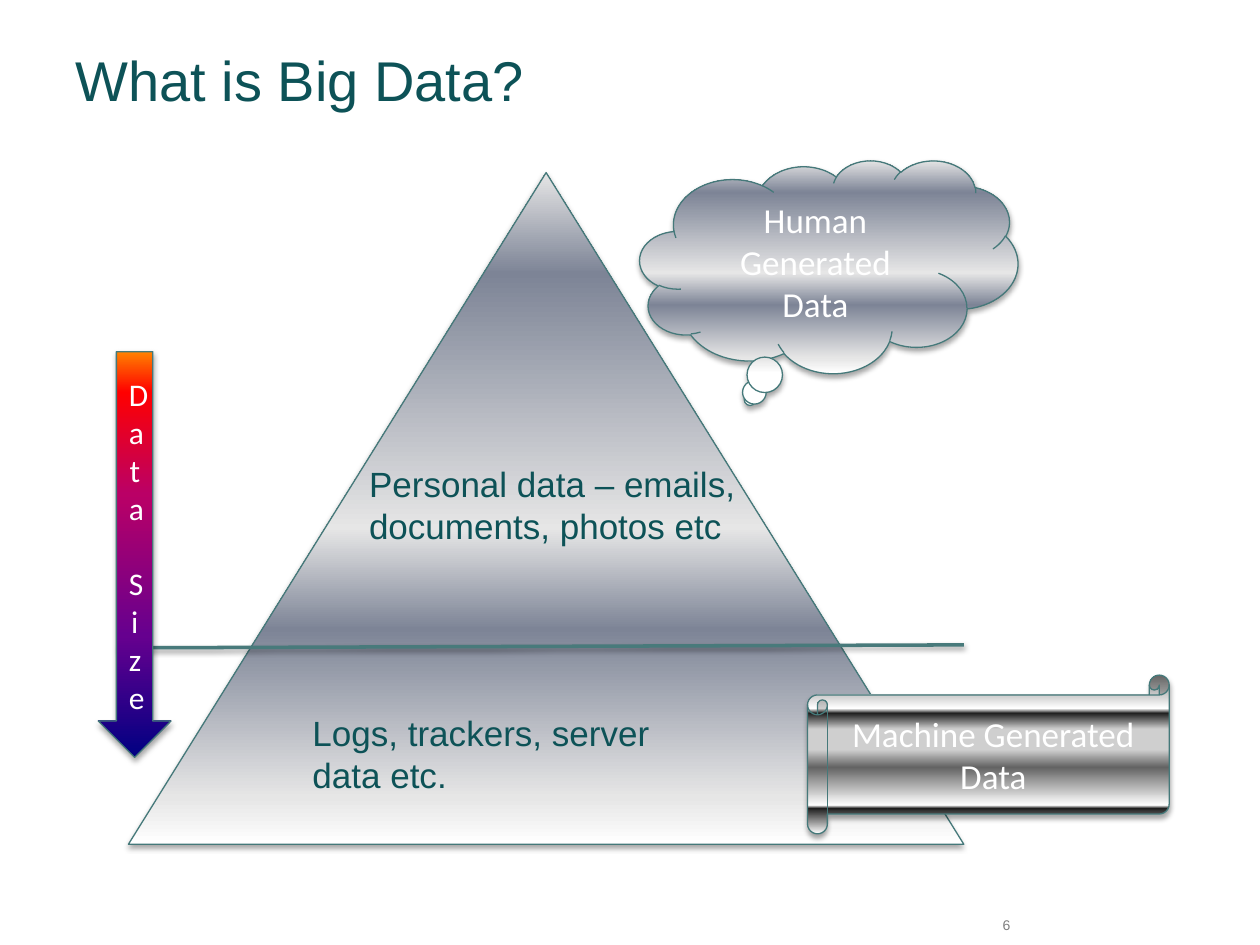
from dataclasses import dataclass

from lxml.etree import SubElement
from pptx import Presentation
from pptx.dml.color import RGBColor
from pptx.enum.shapes import MSO_CONNECTOR, MSO_SHAPE
from pptx.enum.text import MSO_ANCHOR, MSO_AUTO_SIZE, PP_ALIGN
from pptx.oxml.ns import qn
from pptx.util import Cm, Pt


@dataclass(frozen=True)
class Theme:
    ink: str = "0D5257"
    white: str = "FFFFFF"
    gray: str = "808080"
    outline: str = "45797A"
    divider: str = "487A7B"
    body_font: str = "Arial"
    shape_font: str = "Calibri"
    title_size: int = 32
    text_size: int = 20
    arrow_size: int = 18
    number_size: int = 8
    # Gradients run from bottom to top: (percent, colour)
    silver: tuple = ((0, "FFFFFF"), (7, "E6E6E6"), (32, "7D8496"),
                     (47, "E6E6E6"), (85, "7D8496"), (100, "E6E6E6"))
    chrome: tuple = ((0, "FFFFFF"), (16, "1F1F1F"), (18, "FFFFFF"),
                     (42, "636363"), (53, "CFCFCF"), (66, "CFCFCF"),
                     (76, "1F1F1F"), (79, "FFFFFF"), (100, "7F7F7F"))
    sunset: tuple = ((0, "000082"), (30, "66008F"), (65, "BA0066"),
                     (90, "FF0000"), (100, "FF8200"))


T = Theme()


def write(tf, text, *, size=T.text_size, font=T.body_font, color=T.ink,
          align=PP_ALIGN.LEFT, anchor=MSO_ANCHOR.TOP):
    tf.word_wrap = True
    tf.auto_size = MSO_AUTO_SIZE.NONE
    tf.vertical_anchor = anchor
    p = tf.paragraphs[0]
    p.alignment = align
    r = p.add_run()
    r.text = text
    r.font.size = Pt(size)
    r.font.name = font
    r.font.color.rgb = RGBColor.from_string(color)


def add_color(parent, color):
    return SubElement(parent, qn("a:srgbClr"), val=color)


def add_shadow(sp, opacity, distance):
    effects = SubElement(sp._element.spPr, qn("a:effectLst"))
    shadow = SubElement(effects, qn("a:outerShdw"), blurRad=str(Pt(3.1)),
                        dist=str(Pt(distance)), dir="5400000", rotWithShape="0")
    SubElement(add_color(shadow, "000000"), qn("a:alpha"), val=str(opacity * 1000))


def add_label(s, box, text, **fmt):
    write(s.shapes.add_textbox(*map(Cm, box)).text_frame, text, **fmt)


def add_glossy(s, kind, box, stops, text=None, size=T.text_size):
    """Gradient shape with a thin outline, soft shadow and optional text."""
    sp = s.shapes.add_shape(kind, *map(Cm, box))
    sp.fill.gradient()
    sp.fill.gradient_angle = 90
    stop_list = sp._element.spPr.find(".//" + qn("a:gsLst"))
    stop_list.clear()
    for percent, color in stops:
        add_color(SubElement(stop_list, qn("a:gs"), pos=str(percent * 1000)), color)
    sp.line.color.rgb = RGBColor.from_string(T.outline)
    sp.line.width = Pt(0.75)
    add_shadow(sp, 35, 1.8)
    if text:
        write(sp.text_frame, text, size=size, font=T.shape_font, color=T.white,
              align=PP_ALIGN.CENTER, anchor=MSO_ANCHOR.MIDDLE)


def add_title(s, box, text):
    title = s.shapes.title
    title.left, title.top, title.width, title.height = map(Cm, box)
    write(title.text_frame, text, size=T.title_size, anchor=MSO_ANCHOR.MIDDLE)


def add_pyramid(s, box):
    x, y, w, h = box
    add_glossy(s, MSO_SHAPE.ISOSCELES_TRIANGLE, box, T.silver)

    # Divider between the two levels
    line = s.shapes.add_connector(MSO_CONNECTOR.STRAIGHT, Cm(x - 0.2), Cm(y + 9.58),
                                  Cm(x + w), Cm(y + 9.52))
    line.line.color.rgb = RGBColor.from_string(T.divider)
    line.line.width = Pt(2)
    add_shadow(line, 38, 1.6)

    # Level labels
    for dx, dy, text in ((4.6, 5.71, "Personal data – emails, documents, photos etc"),
                         (3.46, 10.74, "Logs, trackers, server data etc.")):
        add_label(s, (x + dx, y + dy, w / 2, 1.96), text)


def add_callouts(s, box):
    x, y, w, h = box
    add_glossy(s, MSO_SHAPE.CLOUD_CALLOUT, (x, y, 7.62, 4.29), T.silver,
               "Human Generated Data")
    add_glossy(s, MSO_SHAPE.HORIZONTAL_SCROLL, (x + w - 7.29, y + h - 3.2, 7.29, 3.2),
               T.chrome, "Machine Generated Data")


def main():
    prs = Presentation()
    prs.slide_width, prs.slide_height = Cm(25.4), Cm(19.05)
    s = prs.slides.add_slide(prs.slide_layouts[5])
    add_title(s, (1.27, 0, 22.86, 3.18), "What is Big Data?")
    add_pyramid(s, (2.59, 3.48, 16.84, 13.54))
    add_callouts(s, (12.9, 3.23, 10.67, 13.58))
    # Size arrow
    add_glossy(s, MSO_SHAPE.DOWN_ARROW, (1.98, 7.09, 1.47, 8.18), T.sunset,
               "Data Size", T.arrow_size)
    # Slide number
    add_label(s, (19.71, 18.36, 0.91, 0.69), "6", size=T.number_size,
              color=T.gray, align=PP_ALIGN.RIGHT)
    prs.save("out.pptx")


if __name__ == "__main__":
    main()
